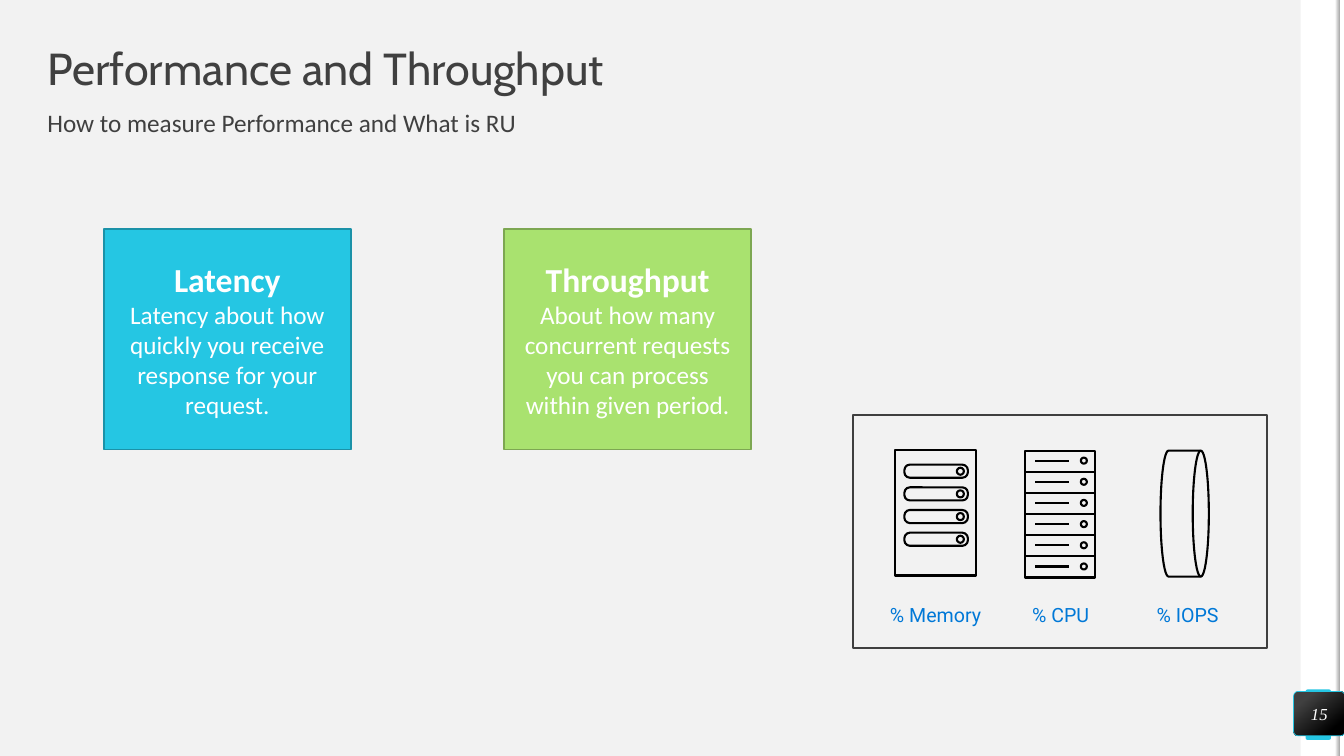
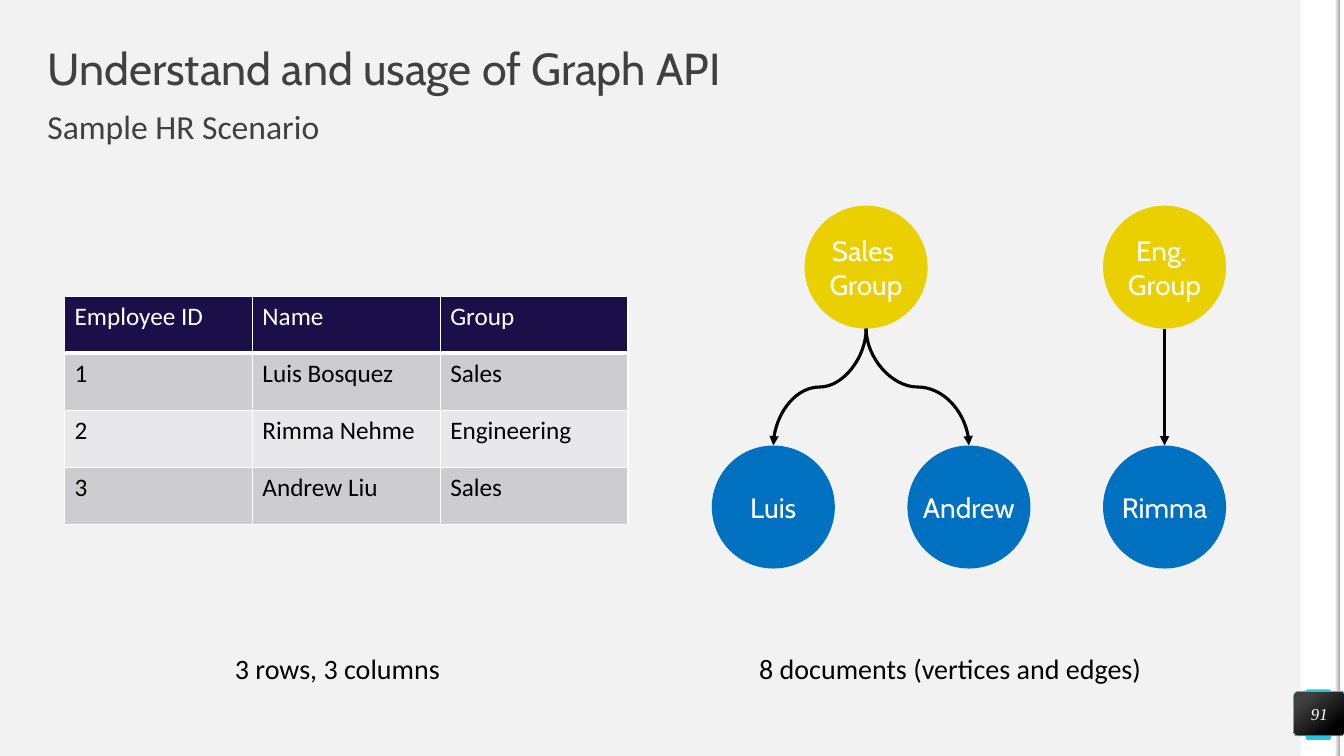
import dataclasses

import lxml.etree
import pptx
import pptx.dml.color
import pptx.enum.shapes
import pptx.enum.text
import pptx.oxml.ns
import pptx.util

SHAPE = pptx.enum.shapes.MSO_SHAPE
CONNECTOR = pptx.enum.shapes.MSO_CONNECTOR
ALIGN = pptx.enum.text.PP_ALIGN
ANCHOR = pptx.enum.text.MSO_ANCHOR
MARGINS = ("margin_left", "margin_top", "margin_right", "margin_bottom")


@dataclasses.dataclass(frozen=True)
class Theme:
    background: str = "F2F2F2"
    white: str = "FFFFFF"
    black: str = "000000"
    heading: str = "404040"
    accent: str = "25C6E3"
    accent_edge: str = "1B92A8"
    green: str = "A9E26F"
    green_edge: str = "7DA752"
    shadow: str = "A6A6A6"
    frame: str = "3F3F3F"
    caption: str = "0078D7"
    group_node: str = "EAD000"
    person_node: str = "0070C0"
    table_header: str = "1A0F49"
    table_bands: tuple = ("CDCCD0", "E8E7E9")
    heading_font: str = "Cabin"
    body_font: str = "Calibri"
    caption_font: str = "Roboto"
    number_font: str = "Times New Roman"
    title_size: int = 32
    large_size: int = 24
    label_size: int = 20
    body_size: int = 18
    caption_size: int = 14
    number_size: int = 12
    icon_line: float = 1.5
    arrow_line: float = 2.25


THEME = Theme()


def inches(*values):
    return [pptx.util.Inches(value) for value in values]


def rgb(color):
    return pptx.dml.color.RGBColor.from_string(color)


def set_format(target, values):
    for name, value in values.items():
        setattr(target, name, value)


def text_style(size, color, name=THEME.body_font, **extra):
    return {"size": pptx.util.Pt(size), "name": name, "color": color, **extra}


def write_text(frame, lines, align=ALIGN.LEFT, anchor=ANCHOR.TOP, margin=None,
               wrap=True, paragraph_format=None):
    """Fill a text frame with (text, style) lines, one paragraph each."""
    set_format(frame, {"word_wrap": wrap, "vertical_anchor": anchor})
    if margin is not None:
        set_format(frame, dict.fromkeys(MARGINS, pptx.util.Inches(margin)))
    for index, (text, style) in enumerate(lines):
        paragraph = frame.add_paragraph() if index else frame.paragraphs[0]
        set_format(paragraph, {"alignment": align, **(paragraph_format or {})})
        run = paragraph.add_run()
        run.text = text
        set_format(run.font, {key: value for key, value in style.items() if key != "color"})
        run.font.color.rgb = rgb(style["color"])


def add_text(slide, box, lines, **layout):
    text_box = slide.shapes.add_textbox(*inches(*box))
    write_text(text_box.text_frame, lines, **layout)


def add_shape(slide, kind, box, fill=None, line=None, width=1, adjustment=None):
    shape = slide.shapes.add_shape(kind, *inches(*box))
    shape.shadow.inherit = False
    if adjustment is not None:
        shape.adjustments[0] = adjustment
    if fill:
        shape.fill.solid()
        shape.fill.fore_color.rgb = rgb(fill)
    else:
        shape.fill.background()
    if line:
        shape.line.color.rgb = rgb(line)
        shape.line.width = pptx.util.Pt(width)
    else:
        shape.line.fill.background()
    return shape


def set_gradient(shape, stops, angle):
    """Apply two (position, color) stops; the angle runs counter-clockwise."""
    shape.fill.gradient()
    shape.fill.gradient_angle = angle
    for stop, (position, color) in zip(shape.fill.gradient_stops, stops):
        stop.position = position
        stop.color.rgb = rgb(color)


def add_line(slide, start, end, width, kind=CONNECTOR.STRAIGHT, arrow=False):
    connector = slide.shapes.add_connector(kind, *inches(*start, *end))
    connector.line.color.rgb = rgb(THEME.black)
    connector.line.width = pptx.util.Pt(width)
    properties = connector._element.spPr
    if arrow:
        outline = properties.find(pptx.oxml.ns.qn("a:ln"))
        lxml.etree.SubElement(outline, pptx.oxml.ns.qn("a:tailEnd"), type="triangle")
    lxml.etree.SubElement(properties, pptx.oxml.ns.qn("a:effectLst"))
    return connector


def add_arrow(slide, start, end):
    """Point down from start to end, with an S-curve if they are not aligned."""
    across, down = end[0] - start[0], end[1] - start[1]
    if not across:
        add_line(slide, start, end, THEME.arrow_line, arrow=True)
        return
    # A curved connector leaves sideways, so it is laid flat and then turned.
    side = 1 if across > 0 else -1
    middle_x, middle_y = (start[0] + end[0]) / 2, (start[1] + end[1]) / 2
    half_length, half_height = side * down / 2, abs(across) / 2
    connector = add_line(slide, (middle_x + half_length, middle_y - half_height),
                         (middle_x - half_length, middle_y + half_height),
                         THEME.arrow_line, CONNECTOR.CURVE, arrow=True)
    transform = connector._element.spPr.find(pptx.oxml.ns.qn("a:xfrm"))
    transform.set("rot", str((270 if side > 0 else 90) * 60000))


def add_base_slide(presentation, title, subtitle, subtitle_size, number):
    slide = presentation.slides.add_slide(presentation.slide_layouts[6])
    add_shape(slide, SHAPE.RECTANGLE, (12.9, 0, 0.39, 7.5), THEME.white)
    add_shape(slide, SHAPE.ROUNDED_RECTANGLE, (12.95, 6.84, 0.25, 0.5), THEME.accent,
              adjustment=0.07)
    add_shape(slide, SHAPE.RECTANGLE, (13.29, 0, 0.05, 7.5), THEME.white)
    edge = add_shape(slide, SHAPE.RECTANGLE, (13.24, 0, 0.05, 7.5))
    set_gradient(edge, [(0, THEME.white), (1, THEME.shadow)], 0)

    add_text(slide, (0.47, 0.47, 12.39, 0.47),
             [(title, text_style(THEME.title_size, THEME.heading, THEME.heading_font))],
             anchor=ANCHOR.MIDDLE, margin=0, paragraph_format={"line_spacing": 0.9})
    add_text(slide, (0.47, 1.1, 12.4, 0.39),
             [(subtitle, text_style(subtitle_size, THEME.heading))], margin=0,
             paragraph_format={"line_spacing": 0.9, "space_before": pptx.util.Pt(10)})

    badge = add_shape(slide, SHAPE.ROUNDED_RECTANGLE, (12.83, 6.86, 0.51, 0.44),
                      line=THEME.accent, width=0.5, adjustment=0.1)
    set_gradient(badge, [(0.2, THEME.heading), (0.82, THEME.black)], 310)
    number_style = text_style(THEME.number_size, THEME.white, THEME.number_font, italic=True)
    write_text(badge.text_frame, [(str(number), number_style)],
               ALIGN.CENTER, ANCHOR.MIDDLE, margin=0)
    return slide


def add_card(slide, left, heading, text, fill, edge):
    card = add_shape(slide, SHAPE.RECTANGLE, (left, 2.27, 2.45, 2.19), fill, edge)
    lines = [(heading, text_style(THEME.large_size, THEME.white, bold=True)),
             (text, text_style(THEME.body_size, THEME.white, bold=False))]
    write_text(card.text_frame, lines, ALIGN.CENTER, ANCHOR.MIDDLE)


def add_outline(slide, kind, box, adjustment=None):
    add_shape(slide, kind, box, line=THEME.black, width=THEME.icon_line,
              adjustment=adjustment)


def add_memory_icon(slide):
    add_outline(slide, SHAPE.RECTANGLE, (8.88, 4.46, 0.8, 1.25))
    for slot in range(4):
        top = 4.61 + slot * 0.225
        add_outline(slide, SHAPE.ROUNDED_RECTANGLE, (8.97, top, 0.63, 0.13), 0.42)
        add_outline(slide, SHAPE.OVAL, (9.49, top + 0.03, 0.07, 0.07))


def add_processor_icon(slide):
    for unit in range(6):
        top = 4.47 + unit * 0.21
        add_outline(slide, SHAPE.RECTANGLE, (10.17, top, 0.69, 0.21))
        add_outline(slide, SHAPE.OVAL, (10.72, top + 0.07, 0.06, 0.06))
        add_line(slide, (10.27, top + 0.1), (10.6, top + 0.1), THEME.icon_line)


def add_resource_panel(slide):
    add_shape(slide, SHAPE.RECTANGLE, (8.46, 4.12, 4.11, 2.31),
              line=THEME.frame, width=THEME.icon_line)
    add_memory_icon(slide)
    add_processor_icon(slide)
    add_outline(slide, SHAPE.FLOWCHART_DIRECT_ACCESS_STORAGE, (11.51, 4.47, 0.48, 1.25))
    style = text_style(THEME.caption_size, THEME.caption, THEME.caption_font)
    for caption, center in (("% Memory", 9.28), ("% CPU", 10.52), ("% IOPS", 11.78)):
        add_text(slide, (center - 0.68, 5.93, 1.36, 0.39), [(caption, style)],
                 align=ALIGN.CENTER)


def set_borders(cell, bottom_width):
    properties = cell._tc.get_or_add_tcPr()
    widths = {"a:lnL": 1, "a:lnR": 1, "a:lnT": 1, "a:lnB": bottom_width}
    for index, (tag, width) in enumerate(widths.items()):
        border = lxml.etree.Element(pptx.oxml.ns.qn(tag), w=str(pptx.util.Pt(width)))
        fill = lxml.etree.SubElement(border, pptx.oxml.ns.qn("a:solidFill"))
        lxml.etree.SubElement(fill, pptx.oxml.ns.qn("a:srgbClr"), val=THEME.white)
        properties.insert(index, border)


def add_employee_table(slide, rows):
    frame = slide.shapes.add_table(len(rows), len(rows[0]), *inches(0.64, 2.94, 5.59, 2.26))
    for row_index, row in enumerate(rows):
        is_header = row_index == 0
        fill = THEME.table_header if is_header else THEME.table_bands[(row_index - 1) % 2]
        color = THEME.white if is_header else THEME.black
        for column_index, text in enumerate(row):
            cell = frame.table.cell(row_index, column_index)
            cell.fill.solid()
            cell.fill.fore_color.rgb = rgb(fill)
            set_borders(cell, 3 if is_header else 1)
            write_text(cell.text_frame,
                       [(text, text_style(THEME.body_size, color, bold=False))])


def add_node(slide, left, top, diameter, lines, fill):
    node = add_shape(slide, SHAPE.OVAL, (left, top, diameter, diameter), fill)
    style = text_style(THEME.label_size, THEME.white, THEME.heading_font)
    write_text(node.text_frame, [(line, style) for line in lines],
               ALIGN.CENTER, ANCHOR.MIDDLE, margin=0, wrap=False)


def add_group_graph(slide):
    diameter, group_top, person_top = 1.22, 2.04, 4.42
    groups = {"Sales": (7.98, ["Sales ", "Group"]), "Engineering": (10.94, ["Eng. ", "Group"])}
    people = [("Luis", "Sales"), ("Andrew", "Sales"), ("Rimma", "Engineering")]
    for left, lines in groups.values():
        add_node(slide, left, group_top, diameter, lines, THEME.group_node)
    for index, (person, group) in enumerate(people):
        left = 7.06 + index * 1.94
        add_node(slide, left, person_top, diameter, [person], THEME.person_node)
        group_left = groups[group][0]
        add_arrow(slide, (group_left + diameter / 2, group_top + diameter),
                  (round(left, 2) + diameter / 2, person_top))


def build_performance_slide(presentation):
    slide = add_base_slide(presentation, "Performance and Throughput",
                           "How to measure Performance and What is RU", THEME.body_size, 15)
    add_resource_panel(slide)
    add_card(slide, 1.03, "Latency",
             "Latency about how quickly you receive response for your request.",
             THEME.accent, THEME.accent_edge)
    add_card(slide, 5, "Throughput",
             "About how many concurrent requests you can process within given period.",
             THEME.green, THEME.green_edge)


def build_graph_slide(presentation):
    slide = add_base_slide(presentation, "Understand and usage of Graph API",
                           "Sample HR Scenario", THEME.large_size, 91)
    add_employee_table(slide, [("Employee ID", "Name", "Group"),
                               ("1", "Luis Bosquez", "Sales"),
                               ("2", "Rimma Nehme", "Engineering"),
                               ("3", "Andrew Liu", "Sales")])
    add_group_graph(slide)
    style = text_style(THEME.label_size, THEME.black)
    for left, width, text in ((2.33, 2.22, "3 rows, 3 columns"),
                              (7.53, 4.16, "8 documents (vertices and edges)")):
        add_text(slide, (left, 6.46, width, 0.34), [(text, style)], margin=0)


def main():
    presentation = pptx.Presentation()
    presentation.slide_width, presentation.slide_height = inches(13.33, 7.5)
    background = presentation.slide_master.background.fill
    background.solid()
    background.fore_color.rgb = rgb(THEME.background)
    build_performance_slide(presentation)
    build_graph_slide(presentation)
    presentation.save("out.pptx")


if __name__ == "__main__":
    main()
